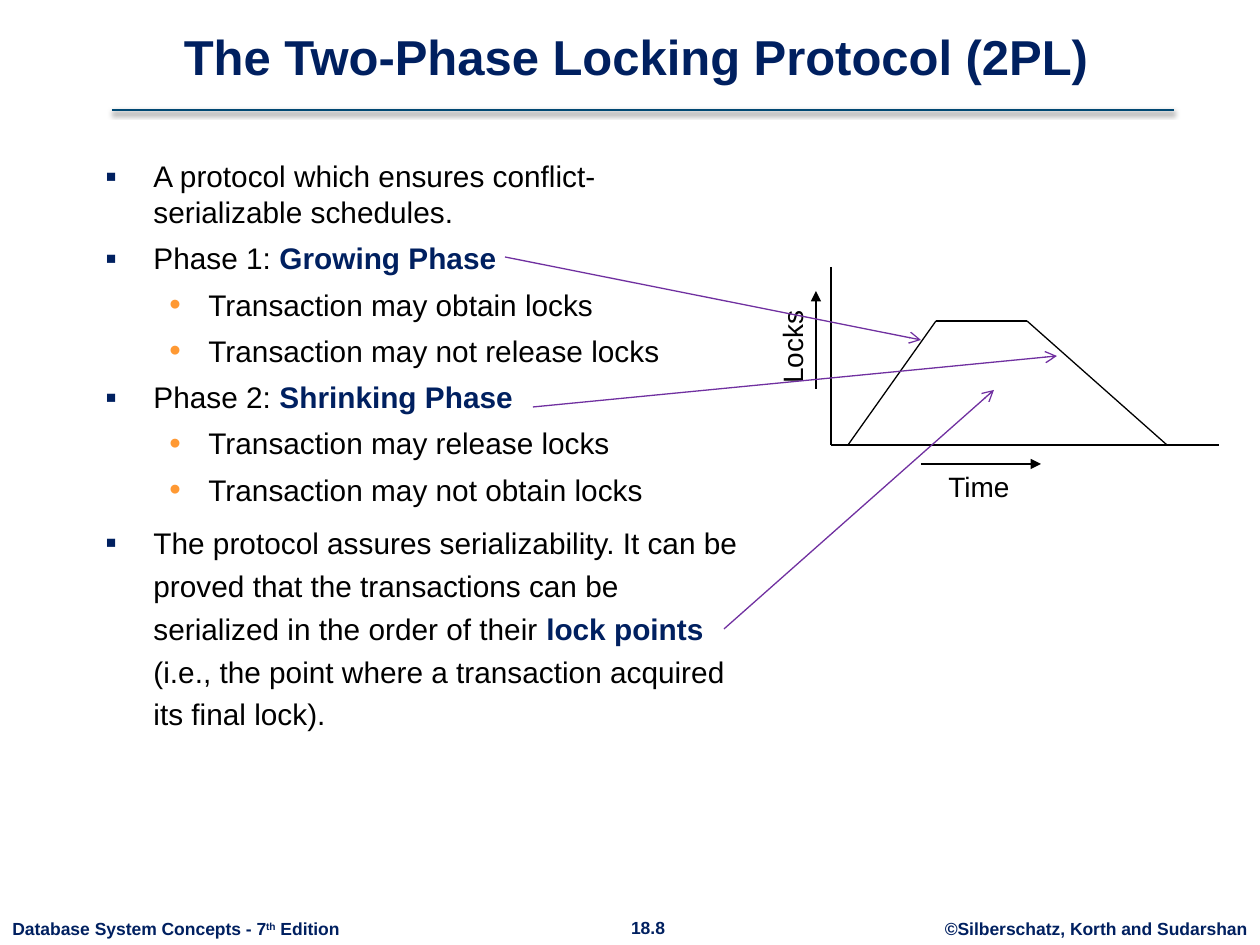
from lxml.etree import SubElement
from pptx import Presentation
from pptx.dml.color import RGBColor
from pptx.enum.shapes import MSO_CONNECTOR
from pptx.enum.text import MSO_ANCHOR, PP_ALIGN
from pptx.oxml.ns import qn
from pptx.util import Pt

NAVY = RGBColor(0x00, 0x20, 0x60)
TEAL = RGBColor(0x00, 0x48, 0x73)
BLACK = RGBColor(0x00, 0x00, 0x00)
ORANGE = RGBColor(0xFF, 0x99, 0x33)
PURPLE = RGBColor(0x70, 0x30, 0xA0)

TITLE = "The Two-Phase Locking Protocol (2PL)"
FOOT = [
    ((932, 912, 328, 34), ["©Silberschatz, Korth and Sudarshan"], PP_ALIGN.CENTER),
    ((612, 911, 72, 34), ["18.8"], PP_ALIGN.CENTER),
    ((0, 912, 354, 34), ["Database System Concepts - 7", "^th", " Edition"], PP_ALIGN.LEFT),
]
BODY = [
    (0, 1.0, ["A protocol which ensures conflict-serializable schedules."]),
    (0, 1.0, ["Phase 1: ", "*Growing Phase"]),
    (1, 1.0, ["Transaction may obtain locks"]),
    (1, 1.0, ["Transaction may not release locks"]),
    (0, 1.0, ["Phase 2: ", "*Shrinking Phase"]),
    (1, 1.0, ["Transaction may release locks"]),
    (1, 1.0, ["Transaction may not obtain locks"]),
    (0, 1.2, ["The protocol assures serializability. It can be proved that the "
              "transactions can be serialized in the order of their ",
              "*lock points ",
              "(i.e., the point where a transaction acquired its final lock)."]),
]
LEVELS = [(48, 48, "▪", NAVY), (103, 39, "•", ORANGE)]
LABELS = [("Time", (936, 463, 111, 47), 0), ("Locks", (737, 317, 111, 47), 270)]
CURVE = [(848, 445), (936, 321), (1027, 321), (1167, 445)]
AXES = [((831, 267), (831, 445)), ((831, 445), (1219, 445))]
TRENDS = [((921, 464), (1041, 464)), ((816, 389), (816, 291))]
LINKS = [((505, 257), (921, 340)), ((533, 407), (1057, 356)), ((724, 629), (994, 390))]


def px(n):
    return round(n * 914400 / 126)


def add_text(slide, box, runs, size=17, color=BLACK, bold=False,
             align=PP_ALIGN.LEFT, anchor=MSO_ANCHOR.TOP, wrap=True, turn=0):
    """Add a text box; runs marked * are bold navy, ^ are superscript."""
    shape = slide.shapes.add_textbox(*map(px, box))
    shape.rotation = turn
    frame = shape.text_frame
    frame.word_wrap = wrap
    frame.vertical_anchor = anchor
    rows = runs if isinstance(runs[0], tuple) else [(None, None, runs)]
    for i, (level, space, parts) in enumerate(rows):
        para = frame.paragraphs[0] if i == 0 else frame.add_paragraph()
        para.alignment = align
        if level is not None:
            para.level = level
            para.line_spacing = space
            para.space_before = Pt(6 if i else 0)
            add_bullet(para, *LEVELS[level])
        for part in parts:
            run = para.add_run()
            run.text = part.lstrip("*^")
            font = run.font
            font.name, font.size = "Arial", Pt(size)
            font.bold = bold or part.startswith("*")
            font.color.rgb = NAVY if part.startswith("*") else color
            if part.startswith("^"):
                font._element.set("baseline", "30000")


def add_bullet(para, left, hang, char, color):
    props = para._p.get_or_add_pPr()
    props.set("marL", str(px(left)))
    props.set("indent", str(-px(hang)))
    tint = SubElement(props, qn("a:buClr"))
    SubElement(tint, qn("a:srgbClr"), val=str(color))
    SubElement(props, qn("a:buSzPct"), val="110000")
    SubElement(props, qn("a:buFont"), typeface="Arial")
    SubElement(props, qn("a:buChar"), char=char)


def add_line(slide, start, end, color=BLACK, width=0.75, head=None, shade=False):
    line = slide.shapes.add_connector(
        MSO_CONNECTOR.STRAIGHT, *map(px, start + end))
    line.line.color.rgb = color
    line.line.width = Pt(width)
    if head:
        SubElement(line.line._get_or_add_ln(), qn("a:tailEnd"), type=head)
    props = line._element.spPr
    fx = SubElement(props, qn("a:effectLst"))
    if shade:
        cast = SubElement(fx, qn("a:outerShdw"), blurRad=str(Pt(3.1)),
                          dist=str(Pt(1.6)), dir="5400000", rotWithShape="0")
        tint = SubElement(cast, qn("a:srgbClr"), val=str(BLACK))
        SubElement(tint, qn("a:alpha"), val="38000")


def main():
    deck = Presentation()
    deck.slide_width, deck.slide_height = px(1260), px(945)
    slide = deck.slides.add_slide(deck.slide_layouts[6])
    for box, runs, align in FOOT:
        add_text(slide, box, runs, size=10, color=NAVY, bold=True,
                 align=align, wrap=False)
    add_line(slide, (112, 110), (1174, 110), color=TEAL, width=1.5, shade=True)
    add_text(slide, (106, 24, 1060, 67), [TITLE], size=28, color=NAVY, bold=True,
             align=PP_ALIGN.CENTER, anchor=MSO_ANCHOR.BOTTOM)
    add_text(slide, (93, 152, 662, 740), BODY)
    for start, end in list(zip(CURVE, CURVE[1:])) + AXES:
        add_line(slide, start, end)
    for text, box, turn in LABELS:
        add_text(slide, box, [text], size=16, turn=turn)
    for start, end in TRENDS:
        add_line(slide, start, end, head="triangle")
    for start, end in LINKS:
        add_line(slide, start, end, color=PURPLE, head="arrow")
    deck.save("out.pptx")


if __name__ == "__main__":
    main()
